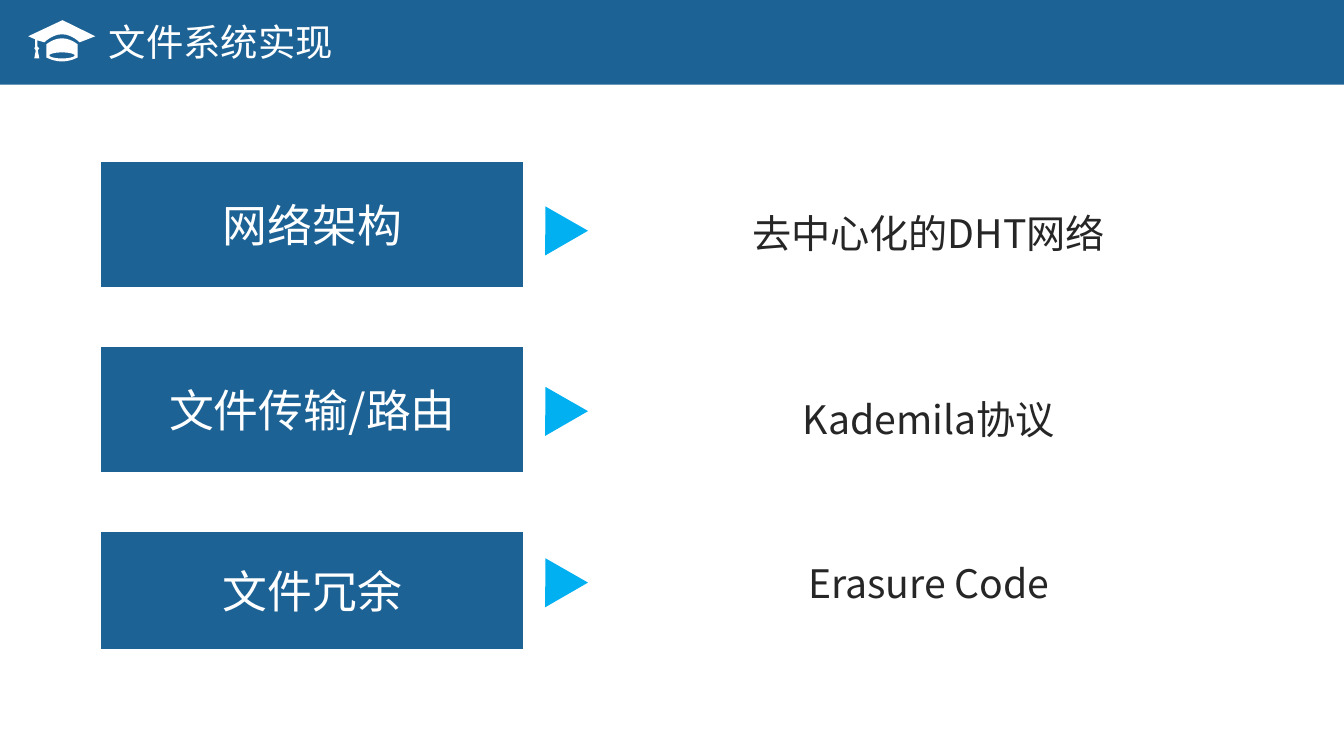
import math

import pptx
import pptx.util
from lxml import etree
from pptx.dml.color import RGBColor
from pptx.enum.shapes import MSO_SHAPE
from pptx.enum.text import MSO_ANCHOR, PP_ALIGN
from pptx.oxml.ns import qn

BLUE = RGBColor(0x1D, 0x62, 0x95)
CYAN = RGBColor(0x00, 0xB0, 0xF0)
WHITE = RGBColor(0xFF, 0xFF, 0xFF)
DARK = RGBColor(0x26, 0x26, 0x26)
FONT = "Noto Sans CJK SC"

prs = pptx.Presentation()
prs.slide_width = pptx.util.Inches(13.33)
prs.slide_height = pptx.util.Inches(7.5)
s = prs.slides.add_slide(prs.slide_layouts[6])


def box(x, y, w, h):
    """Turn percentages of the slide's size into lengths."""
    pw, ph = prs.slide_width / 100, prs.slide_height / 100
    return [round(v) for v in (x * pw, y * ph, w * pw, h * ph)]


def write(sp, text, size, color, align):
    tf = sp.text_frame
    tf.word_wrap = True
    p = tf.paragraphs[0]
    p.text = text
    p.alignment = align
    p.font.name = FONT
    p.font.size = pptx.util.Pt(size)
    p.font.color.rgb = color
    etree.SubElement(p._p.pPr.find(qn("a:defRPr")), qn("a:ea"), typeface=FONT)
    return p


# Header band and title
band = s.shapes.add_shape(MSO_SHAPE.RECTANGLE, *box(0, 0, 100, 11.2))
band.shadow.inherit = False
band.fill.solid()
band.fill.fore_color.rgb = BLUE
band.line.fill.background()
title = s.shapes.add_textbox(*box(7.35, 1.87, 31.65, 7.33))
write(title, "文件系统实现", 26.7, WHITE, PP_ALIGN.LEFT)

# Graduation cap, in thousandths of an inch
wave = [math.cos(math.pi * i / 12) for i in range(13)]
brim = [(615 + 175 * c, 420 - 80 * (1 - c * c)) for c in wave]
brim += [(370, 400), (370, 460), (390, 480), (375, 500), (390, 580), (340, 580),
         (355, 500), (340, 480), (350, 460), (350, 390), (280, 360), (620, 200), (945, 360)]
crown = [(615 + 155 * c, 440 - 60 * (1 - c * c)) for c in wave]
crown += [(615 - 155 * c, 570 + 40 * (1 - c * c)) for c in wave]
opening = [(615 + 125 * math.cos(math.pi * i / 12), 550 + 30 * math.sin(math.pi * i / 12))
           for i in range(24)]
fb = s.shapes.build_freeform(*brim[0], scale=914.4)
fb.add_line_segments(brim[1:])
for outline in (crown, opening):
    fb.move_to(*outline[0])
    fb.add_line_segments(outline[1:])
cap = fb.convert_to_shape()
cap.shadow.inherit = False
cap.fill.solid()
cap.fill.fore_color.rgb = WHITE
cap.line.fill.background()

# Rows: label, label height, arrow top, answer, answer top
ROWS = [
    ("网络架构", 16.8, 26.93, "去中心化的DHT网络", 23.87),
    ("文件传输/路由", 16.8, 50.8, "Kademila协议", 48.53),
    ("文件冗余", 15.73, 73.47, "Erasure Code", 70.27),
]
TOP, PITCH = 21.33, 24.47
for i, (label, height, arrow_top, answer, answer_top) in enumerate(ROWS):
    sp = s.shapes.add_shape(MSO_SHAPE.RECTANGLE, *box(7.5, TOP + i * PITCH, 31.5, height))
    sp.shadow.inherit = False
    sp.fill.solid()
    sp.fill.fore_color.rgb = BLUE
    sp.line.color.rgb = WHITE
    sp.line.width = pptx.util.Pt(1)
    sp.text_frame.vertical_anchor = MSO_ANCHOR.MIDDLE
    write(sp, label, 32, WHITE, PP_ALIGN.CENTER)

    arrow = s.shapes.add_shape(MSO_SHAPE.ISOSCELES_TRIANGLE, *box(39.53, arrow_top, 3.68, 5.6))
    arrow.rotation = 330
    arrow.shadow.inherit = False
    arrow.fill.solid()
    arrow.fill.fore_color.rgb = CYAN
    arrow.line.fill.background()

    tb = s.shapes.add_textbox(*box(43.74, answer_top, 50.71, 12.4))
    p = write(tb, answer, 28, DARK, PP_ALIGN.CENTER)
    p.line_spacing = 1.5
    p.space_before = pptx.util.Pt(4)

prs.save("out.pptx")
